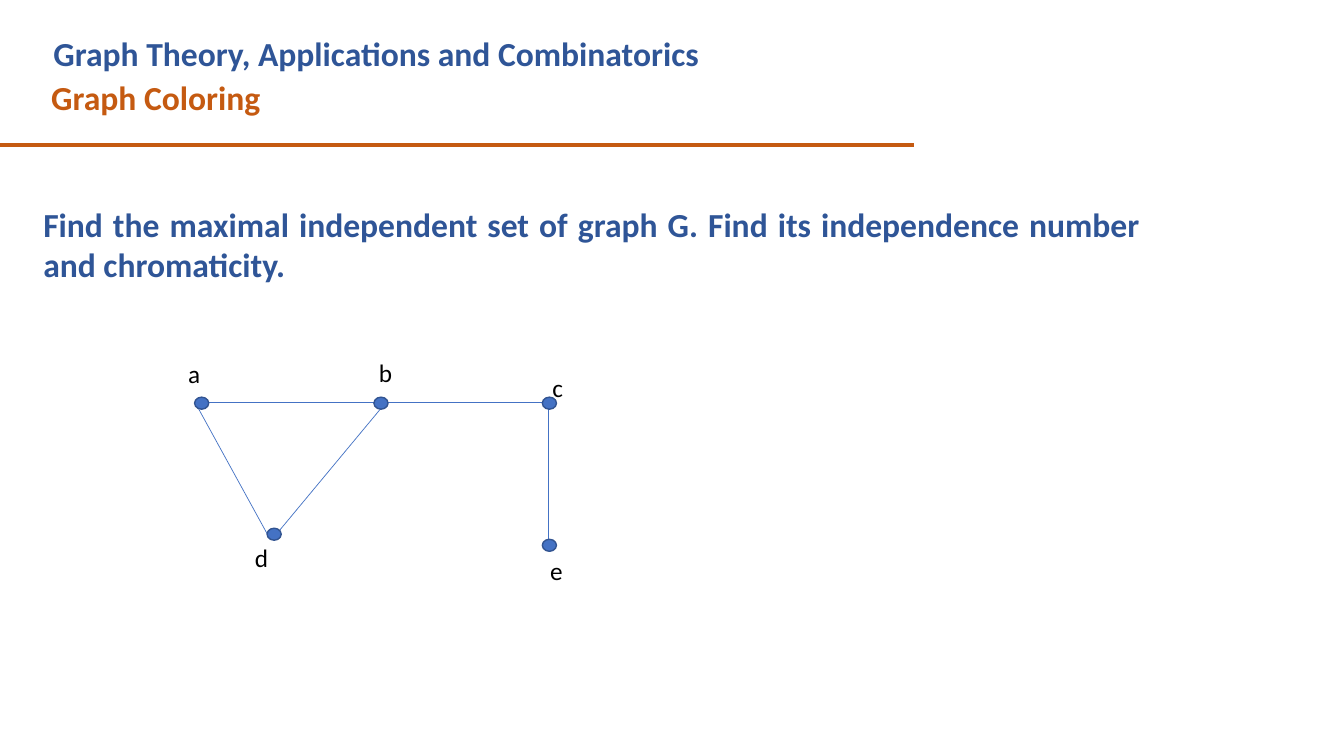
import dataclasses

import pptx
import pptx.dml.color
import pptx.enum.shapes
import pptx.enum.text
import pptx.oxml.ns
import pptx.util
import lxml.etree

Pt = pptx.util.Pt
Shape = pptx.enum.shapes.MSO_SHAPE
Align = pptx.enum.text.PP_ALIGN


@dataclasses.dataclass(frozen=True)
class Theme:
    font: str = "Calibri"
    heading: str = "2F5597"
    accent: str = "C55A11"
    node: str = "4472C4"
    node_line: str = "325491"
    label: str = "000000"
    heading_size: float = 24
    label_size: float = 18


THEME = Theme()


def color(code):
    return pptx.dml.color.RGBColor.from_string(code)


def write(shape, text, *, size=THEME.heading_size, tint=THEME.heading,
          bold=True, align=Align.LEFT):
    frame = shape.text_frame
    frame.word_wrap = True
    frame.auto_size = pptx.enum.text.MSO_AUTO_SIZE.NONE
    frame.vertical_anchor = pptx.enum.text.MSO_ANCHOR.TOP
    para = frame.paragraphs[0]
    para.alignment = align
    para.line_spacing = 1.0
    para.space_before = Pt(0)
    span = para.add_run()
    span.text = text
    span.font.name = THEME.font
    span.font.size = Pt(size)
    span.font.bold = bold
    span.font.color.rgb = color(tint)


def add_text(shapes, text, left, top, width, height, **style):
    box = shapes.add_textbox(Pt(left), Pt(top), Pt(width), Pt(height))
    write(box, text, **style)


def add_line(shapes, start, end, tint, weight):
    line = shapes.add_connector(
        pptx.enum.shapes.MSO_CONNECTOR.STRAIGHT,
        *(Pt(value) for value in (*start, *end)))
    line.line.color.rgb = color(tint)
    line.line.width = Pt(weight)
    properties = line._element.spPr
    lxml.etree.SubElement(properties, pptx.oxml.ns.qn("a:effectLst"))


def draw_header(page, left, top, width):
    title = page.shapes.title
    title.left, title.top = Pt(left + 31), Pt(top + 20.2)
    title.width, title.height = Pt(590.4), Pt(36)
    write(title, "Graph Theory, Applications and Combinatorics")
    add_text(page.shapes, "Graph Coloring", left + 29.5, top + 51.1, 630, 36,
             tint=THEME.accent)
    rule = top + 103.7
    add_line(page.shapes, (left, rule), (left + width, rule), THEME.accent, 3)


def draw_question(page, left, top, width, height):
    add_text(page.shapes,
             "Find the maximal independent set of graph G. "
             "Find its independence number and chromaticity.",
             left, top, width, height, align=Align.JUSTIFY)


def draw_graph(page, left, top):
    group = page.shapes.add_group_shape().shapes
    row = 35.3
    edges = [
        ((13.4, row), (148.8, row)),
        ((13.4, 37.4), (66, 133.2)),
        ((67.4, 133.2), (148.8, row)),
        ((148.8, row), (264, row)),
        ((264.7, 37.4), (264.7, 133.2)),
    ]
    nodes = {
        "a": ((12, 31.7), (0.4, 0.7)),
        "b": ((140.1, 31.7), (136.5, 0)),
        "c": ((260.4, 31.7), (260.4, 10.1)),
        "d": ((63.8, 125.3), (48, 131.8)),
        "e": ((260.4, 133.2), (258.9, 141.1)),
    }
    for start, end in edges:
        add_line(group, (left + start[0], top + start[1]),
                 (left + end[0], top + end[1]), THEME.node, 0.5)
    for name, (spot, label) in nodes.items():
        dot = group.add_shape(Shape.OVAL, Pt(left + spot[0]),
                              Pt(top + spot[1]), Pt(10.1), Pt(8.6))
        dot.shadow.inherit = False
        dot.fill.solid()
        dot.fill.fore_color.rgb = color(THEME.node)
        dot.line.color.rgb = color(THEME.node_line)
        dot.line.width = Pt(1)
        add_text(group, name, left + label[0], top + label[1], 42, 28.8,
                 size=THEME.label_size, tint=THEME.label, bold=False)


def main():
    deck = pptx.Presentation()
    deck.slide_width, deck.slide_height = Pt(960), Pt(540)
    page = deck.slides.add_slide(deck.slide_layouts[5])
    draw_header(page, 0, 0, 653)
    draw_question(page, 23.8, 141.8, 797.8, 65.5)
    draw_graph(page, 127, 252)
    deck.save("out.pptx")


if __name__ == "__main__":
    main()
